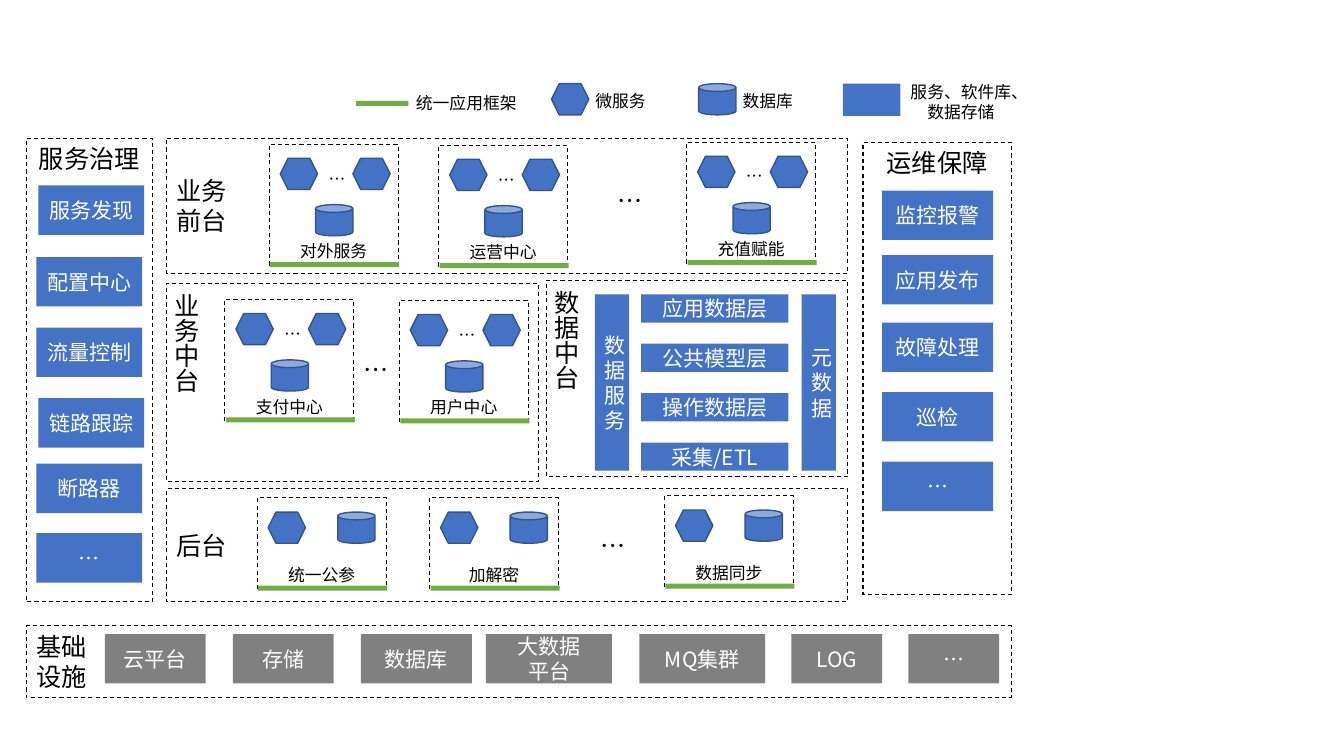
from lxml import etree
from pptx import Presentation
from pptx import util as u
from pptx.dml.color import RGBColor
from pptx.enum import dml, shapes, text
from pptx.oxml.ns import qn

FONT = "Noto Sans CJK SC"
BLACK = RGBColor(0x00, 0x00, 0x00)
WHITE = RGBColor(0xFF, 0xFF, 0xFF)
BLUE = RGBColor(0x44, 0x72, 0xC4)
NAVY = RGBColor(0x32, 0x54, 0x91)
GREEN = RGBColor(0x70, 0xAD, 0x47)
GRAY = RGBColor(0x80, 0x80, 0x80)

RECTANGLE = shapes.MSO_SHAPE.RECTANGLE
HEXAGON = shapes.MSO_SHAPE.HEXAGON
CAN = shapes.MSO_SHAPE.CAN
LEFT, CENTER = text.PP_ALIGN.LEFT, text.PP_ALIGN.CENTER
TOP, MIDDLE, BOTTOM = (text.MSO_ANCHOR.TOP, text.MSO_ANCHOR.MIDDLE,
                       text.MSO_ANCHOR.BOTTOM)

CARD_WIDTH = 1.28
ICON_SIZE = (0.37, 0.31)
BAR_HEIGHT = 0.05
TILE_HEIGHT = 0.49
DOTS = "…"


def write(shape, content, size, color, align=CENTER, anchor=MIDDLE, wrap=True):
    frame = shape.text_frame
    frame.word_wrap = wrap
    frame.vertical_anchor = anchor
    frame.text = content
    for paragraph in frame.paragraphs:
        paragraph.alignment = align
        paragraph.line_spacing = u.Pt(size * 1.2)
        font = paragraph.font
        font.size = u.Pt(size)
        font.name = FONT
        font.color.rgb = color
        defaults = paragraph._p.pPr.find(qn("a:defRPr"))
        etree.SubElement(defaults, qn("a:ea")).set("typeface", FONT)


def add_box(slide, kind, left, top, width, height, fill=None):
    shape = slide.shapes.add_shape(kind, *map(u.Inches, (left, top, width, height)))
    shape.shadow.inherit = False
    if fill is None:
        shape.fill.background()
    else:
        shape.fill.solid()
        shape.fill.fore_color.rgb = fill
    shape.line.fill.background()
    return shape


def add_panel(slide, area, label, size=18, align=CENTER, anchor=TOP, vertical=False):
    panel = add_box(slide, RECTANGLE, *area)
    panel.line.color.rgb = BLACK
    panel.line.width = u.Pt(0.75)
    panel.line.dash_style = dml.MSO_LINE.DASH
    write(panel, label, size, BLACK, align, anchor)
    if vertical:
        panel.text_frame._txBody.bodyPr.set("vert", "eaVert")


def add_tile(slide, area, label, fill=BLUE):
    write(add_box(slide, RECTANGLE, *area, fill), label, 15, WHITE)


def add_icon(slide, kind, left, top):
    icon = add_box(slide, kind, left, top, *ICON_SIZE, BLUE)
    icon.line.color.rgb = NAVY
    icon.line.width = u.Pt(1)


def add_bar(slide, left, top, width=CARD_WIDTH):
    add_box(slide, RECTANGLE, left, top, width, BAR_HEIGHT, GREEN)


def add_label(slide, area, content, size=12, wrap=False):
    label = slide.shapes.add_textbox(*map(u.Inches, area))
    write(label, content, size, BLACK, anchor=TOP, wrap=wrap)


def add_card(slide, left, top, height, label):
    add_panel(slide, (left, top, CARD_WIDTH, height), label, 12, anchor=BOTTOM)
    add_icon(slide, HEXAGON, left + 0.11, top + 0.14)
    add_bar(slide, left + 0.01, top + height - 0.04)


def add_service_card(slide, left, top, label):
    add_card(slide, left, top, 1.21, label)
    add_icon(slide, HEXAGON, left + 0.83, top + 0.14)
    add_icon(slide, CAN, left + 0.46, top + 0.6)
    add_label(slide, (left + 0.49, top + 0.19, 0.32, 0.3), DOTS)


def add_backend_card(slide, left, top, label):
    add_card(slide, left, top, 0.91, label)
    add_icon(slide, CAN, left + 0.8, top + 0.14)


def add_legend(slide):
    add_bar(slide, 3.53, 1, 0.52)
    add_label(slide, (4.02, 0.87, 1.21, 0.3), "统一应用框架")
    for kind, left, label in ((HEXAGON, 5.47, "微服务"), (CAN, 6.93, "数据库")):
        add_icon(slide, kind, left, 0.83)
        add_label(slide, (left + 0.33, 0.85, 0.71, 0.3), label)
    add_box(slide, RECTANGLE, 8.36, 0.83, 0.57, 0.32, BLUE)
    add_label(slide, (8.92, 0.76, 1.22, 0.5), "服务、软件库、数据存储", wrap=True)


def add_side_panels(slide):
    add_panel(slide, (0.26, 1.37, 1.25, 4.6), "服务治理")
    governance = ((0.38, 1.84, "服务发现"), (0.36, 2.55, "配置中心"),
                  (0.36, 3.25, "流量控制"), (0.38, 3.95, "链路跟踪"),
                  (0.36, 4.6, "断路器"), (0.36, 5.29, DOTS))
    for left, top, label in governance:
        add_tile(slide, (left, top, 1.05, TILE_HEIGHT), label)

    add_panel(slide, (8.56, 1.41, 1.47, 4.49), "运维保障")
    operations = ((1.89, "监控报警"), (2.53, "应用发布"), (3.2, "故障处理"),
                  (3.89, "巡检"), (4.58, DOTS))
    for top, label in operations:
        add_tile(slide, (8.75, top, 1.1, TILE_HEIGHT), label)


def add_business(slide):
    add_panel(slide, (1.65, 1.37, 6.76, 1.34), "业务\n前台", align=LEFT, anchor=MIDDLE)
    add_panel(slide, (1.65, 2.81, 3.69, 1.97), "业务中台", anchor=BOTTOM, vertical=True)
    add_panel(slide, (1.65, 4.85, 6.76, 1.12), "后台", align=LEFT, anchor=MIDDLE)
    services = ((2.67, 1.43, "对外服务"), (4.35, 1.44, "运营中心"),
                (6.81, 1.41, "充值赋能"), (2.23, 2.97, "支付中心"),
                (3.96, 2.98, "用户中心"))
    for left, top, label in services:
        add_service_card(slide, left, top, label)
    backends = ((2.55, 4.94, "统一公参"), (4.26, 4.94, "加解密"),
                (6.59, 4.92, "数据同步"))
    for left, top, label in backends:
        add_backend_card(slide, left, top, label)
    for left, top in ((6.03, 1.79), (3.51, 3.47), (5.86, 5.21)):
        add_label(slide, (left, top, 0.38, 0.4), DOTS, 18)


def add_data_platform(slide):
    add_panel(slide, (5.42, 2.78, 2.99, 1.95), "数据中台", anchor=BOTTOM, vertical=True)
    for left, label in ((5.9, "数据服务"), (7.95, "元数据")):
        add_tile(slide, (left, 2.92, 0.34, 1.75), label)
    layers = ("应用数据层", "公共模型层", "操作数据层", "采集/ETL")
    for row, label in enumerate(layers):
        add_tile(slide, (6.36, 2.92 + row * 0.49, 1.46, 0.28), label)


def add_infrastructure(slide):
    add_panel(slide, (0.26, 6.21, 9.77, 0.71), "基础\n设施", align=LEFT, anchor=MIDDLE)
    resources = ((1.04, 1, "云平台"), (2.31, 1, "存储"), (3.58, 1.1, "数据库"),
                 (4.82, 1.25, "大数据\n平台"), (6.34, 1.25, "MQ集群"),
                 (7.85, 0.9, "LOG"), (9.01, 0.9, DOTS))
    for left, width, label in resources:
        add_tile(slide, (left, 6.29, width, TILE_HEIGHT), label, GRAY)


def main():
    presentation = Presentation()
    presentation.slide_width = u.Inches(13.33)
    presentation.slide_height = u.Inches(7.5)
    slide = presentation.slides.add_slide(presentation.slide_layouts[6])
    add_legend(slide)
    add_side_panels(slide)
    add_business(slide)
    add_data_platform(slide)
    add_infrastructure(slide)
    presentation.save("out.pptx")


main()
